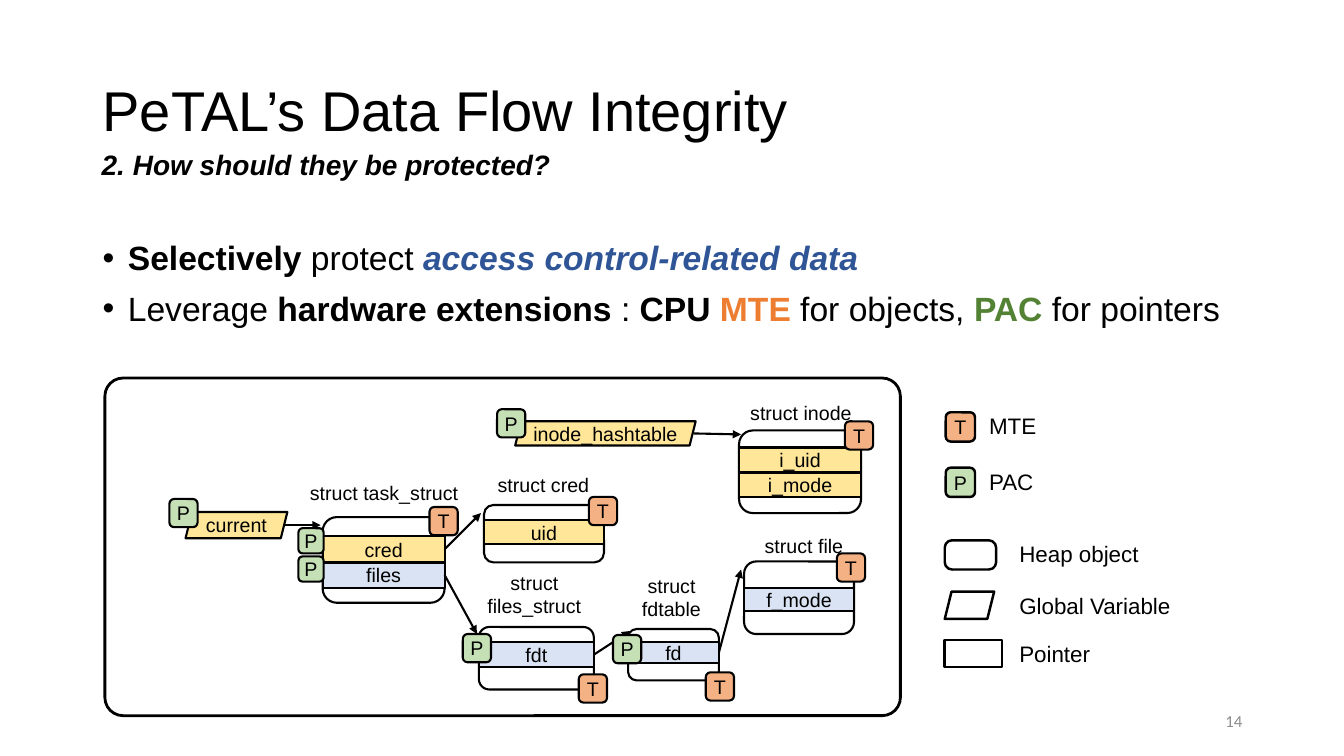
from lxml import etree
from pptx import Presentation
from pptx.dml.color import RGBColor
from pptx.enum.shapes import MSO_CONNECTOR, MSO_SHAPE
from pptx.enum.text import MSO_ANCHOR, PP_ALIGN
from pptx.oxml.ns import qn
from pptx.util import Inches, Pt

ROUNDED, RECTANGLE = MSO_SHAPE.ROUNDED_RECTANGLE, MSO_SHAPE.RECTANGLE
PARALLELOGRAM = MSO_SHAPE.PARALLELOGRAM
STRAIGHT = MSO_CONNECTOR.STRAIGHT
TOP, MIDDLE = MSO_ANCHOR.TOP, MSO_ANCHOR.MIDDLE
LEFT, CENTER, RIGHT = PP_ALIGN.LEFT, PP_ALIGN.CENTER, PP_ALIGN.RIGHT
RIGHT_SIDE = 3

BLACK = RGBColor(0x00, 0x00, 0x00)
GRAY = RGBColor(0x8C, 0x8C, 0x8C)
YELLOW = RGBColor(0xFF, 0xE6, 0x99)
PALE_BLUE = RGBColor(0xDA, 0xE3, 0xF3)
PALE_GREEN = RGBColor(0xC5, 0xE0, 0xB4)
PALE_ORANGE = RGBColor(0xF4, 0xB1, 0x83)
BLUE = RGBColor(0x2F, 0x55, 0x97)
ORANGE = RGBColor(0xED, 0x7D, 0x31)
GREEN = RGBColor(0x54, 0x82, 0x35)

presentation = Presentation()
presentation.slide_width, presentation.slide_height = Inches(13.33), Inches(7.5)
slide = presentation.slides.add_slide(presentation.slide_layouts[6])


def add_text(box, text, size, color=BLACK, align=LEFT, anchor=TOP, inset=(0, 0), font="Arial"):
    """Set the text of a box and return its first paragraph."""
    frame = box.text_frame
    frame.word_wrap = True
    frame.vertical_anchor = anchor
    frame.margin_left = frame.margin_right = Inches(inset[0])
    frame.margin_top = frame.margin_bottom = Inches(inset[1])
    paragraph = frame.paragraphs[0]
    paragraph.text = text
    paragraph.alignment = align
    paragraph.font.name = font
    paragraph.font.size = Pt(size)
    paragraph.font.color.rgb = color
    return paragraph


def add_box(kind, place, fill=None, text="", width=1.5):
    """Draw an outlined shape, filled and labelled on request."""
    shape = slide.shapes.add_shape(kind, *map(Inches, place))
    shape.shadow.inherit = False
    if fill is None:
        shape.fill.background()
    else:
        shape.fill.solid()
        shape.fill.fore_color.rgb = fill
    shape.line.color.rgb = BLACK
    shape.line.width = Pt(width)
    if text:
        add_text(shape, text, 14, align=CENTER, anchor=MIDDLE)
    return shape


# Title, subtitle and page number
INSET = (0.1, 0.05)
title = slide.shapes.add_textbox(Inches(0.92), Inches(0.4), Inches(11.5), Inches(1.45))
add_text(title, "PeTAL’s Data Flow Integrity", 40, anchor=MIDDLE, inset=INSET).line_spacing = 0.9
subtitle = slide.shapes.add_textbox(Inches(0.91), Inches(1.41), Inches(6.25), Inches(0.44))
paragraph = add_text(subtitle, "2. How should they be protected?", 20, inset=INSET)
paragraph.font.bold = paragraph.font.italic = True
page_number = slide.shapes.add_textbox(Inches(9.42), Inches(6.95), Inches(3), Inches(0.4))
add_text(page_number, "14", 12, GRAY, RIGHT, MIDDLE, INSET, "Calibri")

# Bullets: text, color, bold, italic
BULLETS = [
    [("Selectively", BLACK, True, False), (" protect ", BLACK, False, False),
     ("access control-related data", BLUE, True, True)],
    [("Leverage ", BLACK, False, False), ("hardware extensions ", BLACK, True, False),
     (": ", BLACK, False, False), ("CPU ", BLACK, True, False), ("MTE", ORANGE, True, False),
     (" for objects, ", BLACK, False, False), ("PAC ", GREEN, True, False),
     ("for pointers", BLACK, False, False)],
]
body = slide.shapes.add_textbox(Inches(0.92), Inches(2.35), Inches(11.5), Inches(1.11))
body.text_frame.word_wrap = True
for index, runs in enumerate(BULLETS):
    paragraph = body.text_frame.add_paragraph() if index else body.text_frame.paragraphs[0]
    paragraph.line_spacing = 0.9
    paragraph.space_before = Pt(10 if index else 0)
    properties = paragraph._p.get_or_add_pPr()
    properties.set("marL", str(Inches(0.25)))
    properties.set("indent", str(Inches(-0.25)))
    etree.SubElement(properties, qn("a:buFont")).set("typeface", "Arial")
    etree.SubElement(properties, qn("a:buChar")).set("char", "•")
    paragraph.font.name = "Arial"
    paragraph.font.size = Pt(24)
    for text, color, bold, italic in runs:
        run = paragraph.add_run()
        run.text = text
        run.font.color.rgb = color
        run.font.bold, run.font.italic = bold, italic

# Diagram frame
frame_box = add_box(ROUNDED, (1.04, 3.75, 7.89, 3.35), width=2)
frame_box.adjustments[0] = 0.054

# Heap objects: name, label place, outline, fields as (name, top, height, fill)
STRUCTS = [
    ("struct task_struct", (3.02, 4.77, 1.58, 0.24), (3.2, 5.13, 1.21, 0.85),
     [("cred", 5.32, 0.26, YELLOW), ("files", 5.58, 0.25, PALE_BLUE)]),
    ("struct cred", (4.75, 4.69, 1.28, 0.24), (4.8, 5.01, 1.19, 0.57),
     [("uid", 5.16, 0.24, YELLOW)]),
    ("struct inode", (7.26, 3.98, 1.37, 0.26), (7.33, 4.27, 1.21, 0.82),
     [("i_uid", 4.44, 0.24, YELLOW), ("i_mode", 4.69, 0.24, YELLOW)]),
    ("struct files_struct", (4.78, 5.66, 1.04, 0.47), (4.75, 6.22, 1.14, 0.62),
     [("fdt", 6.37, 0.25, PALE_BLUE)]),
    ("struct fdtable", (6.17, 5.69, 0.98, 0.47), (6.23, 6.24, 0.9, 0.51),
     [("fd", 6.37, 0.21, PALE_BLUE)]),
    ("struct file", (7.36, 5.3, 1.23, 0.26), (7.38, 5.57, 1.09, 0.72),
     [("f_mode", 5.83, 0.23, PALE_BLUE)]),
]
fields = {}
for name, label_place, outline, rows in STRUCTS:
    label = slide.shapes.add_textbox(*map(Inches, label_place))
    add_text(label, name, 14, align=CENTER)
    add_box(ROUNDED, outline)
    for field, top, height, fill in rows:
        fields[field] = add_box(RECTANGLE, (outline[0], top, outline[2], height), fill, field)

# Global variables
add_box(PARALLELOGRAM, (1.84, 5.08, 1.01, 0.26), YELLOW, "current")
add_box(PARALLELOGRAM, (5.11, 4.18, 1.79, 0.24), YELLOW, "inode_hashtable")

# Arrows: source field if any, start, end
ARROWS = [
    (None, (2.82, 5.21), (3.18, 5.21)),
    (None, (6.88, 4.3), (7.35, 4.31)),
    ("cred", (4.41, 5.45), (4.77, 5.09)),
    ("files", (4.41, 5.71), (4.73, 6.29)),
    ("fdt", (5.89, 6.5), (6.25, 6.26)),
    ("fd", (7.13, 6.48), (7.35, 5.65)),
]
for field, start, end in ARROWS:
    arrow = slide.shapes.add_connector(STRAIGHT, *map(Inches, start + end))
    if field:
        arrow.begin_connect(fields[field], RIGHT_SIDE)
    arrow.line.color.rgb = BLACK
    arrow.line.width = Pt(1.5)
    etree.SubElement(arrow.line._get_or_add_ln(), qn("a:tailEnd")).set("type", "triangle")
    etree.SubElement(arrow._element.spPr, qn("a:effectLst"))

# Protection badges: left, top, side
BADGES = {
    ("P", PALE_GREEN): [(4.93, 4.06, 0.28), (1.68, 4.95, 0.28), (2.96, 5.24, 0.25),
                        (2.96, 5.52, 0.25), (4.59, 6.29, 0.28), (6.08, 6.3, 0.28)],
    ("T", PALE_ORANGE): [(8.38, 4.18, 0.28), (5.84, 4.93, 0.28), (8.3, 5.49, 0.28),
                         (7, 6.67, 0.28), (5.74, 6.69, 0.28), (4.26, 5.03, 0.28)],
}
for (letter, fill), places in BADGES.items():
    for left, top, side in places:
        add_box(ROUNDED, (left, top, side, side), fill, letter)

# Legend: caption, caption left, symbol kind, symbol place, fill, letter
LEGEND = [
    ("MTE", 9.81, ROUNDED, (9.38, 4.09, 0.29, 0.29), PALE_ORANGE, "T"),
    ("PAC", 9.81, ROUNDED, (9.38, 4.64, 0.29, 0.29), PALE_GREEN, "P"),
    ("Heap object", 10.11, ROUNDED, (9.37, 5.36, 0.51, 0.29), None, ""),
    ("Global Variable", 10.11, PARALLELOGRAM, (9.37, 5.87, 0.49, 0.27), None, ""),
    ("Pointer", 10.11, RECTANGLE, (9.37, 6.35, 0.57, 0.27), None, ""),
]
for caption, left, kind, place, fill, letter in LEGEND:
    symbol = add_box(kind, place, fill, letter, 1.75)
    if caption == "Heap object":
        symbol.adjustments[0] = 0.25
    text_box = slide.shapes.add_textbox(Inches(left), Inches(place[1]), Inches(1.61), Inches(0.27))
    add_text(text_box, caption, 16)

presentation.save("out.pptx")
